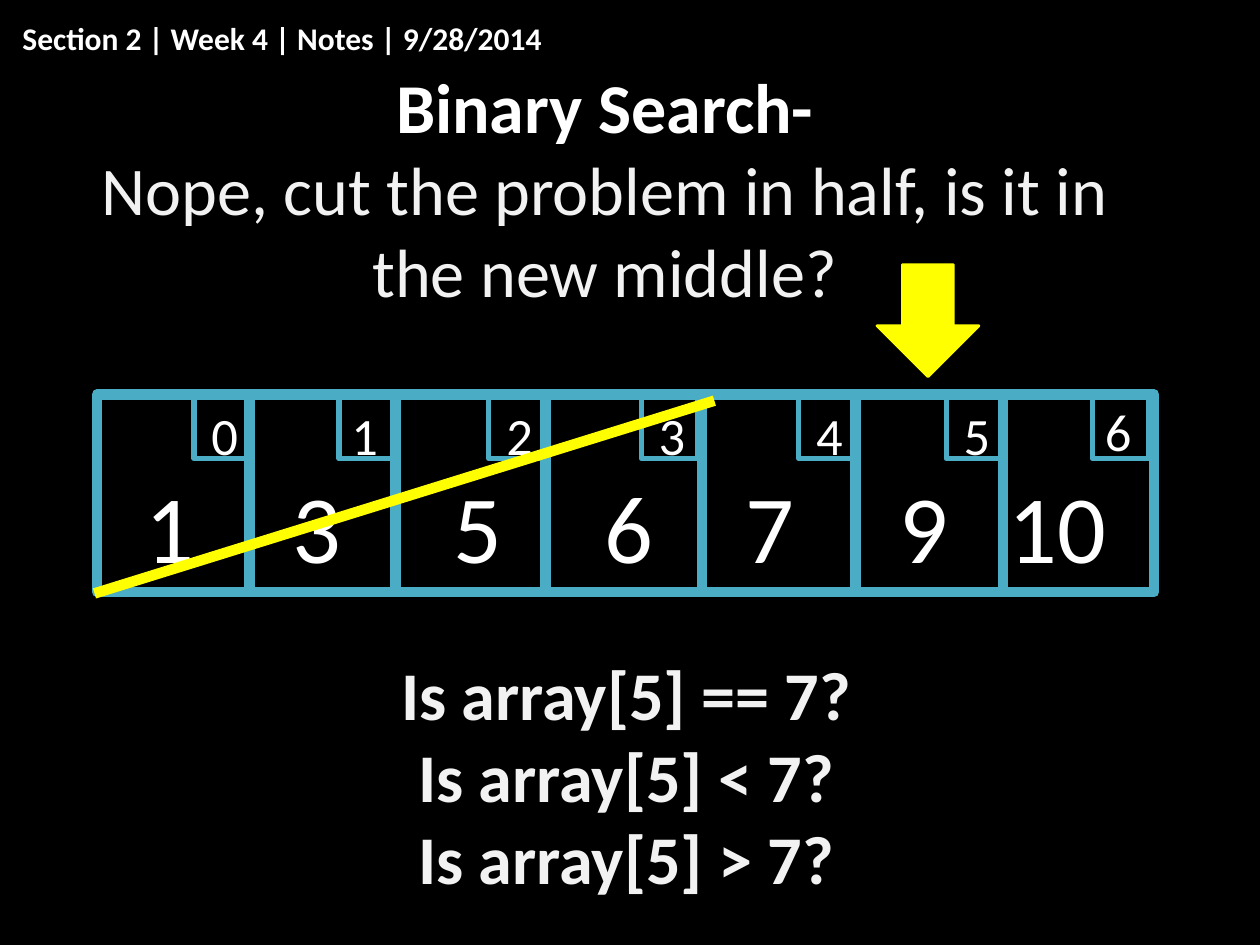
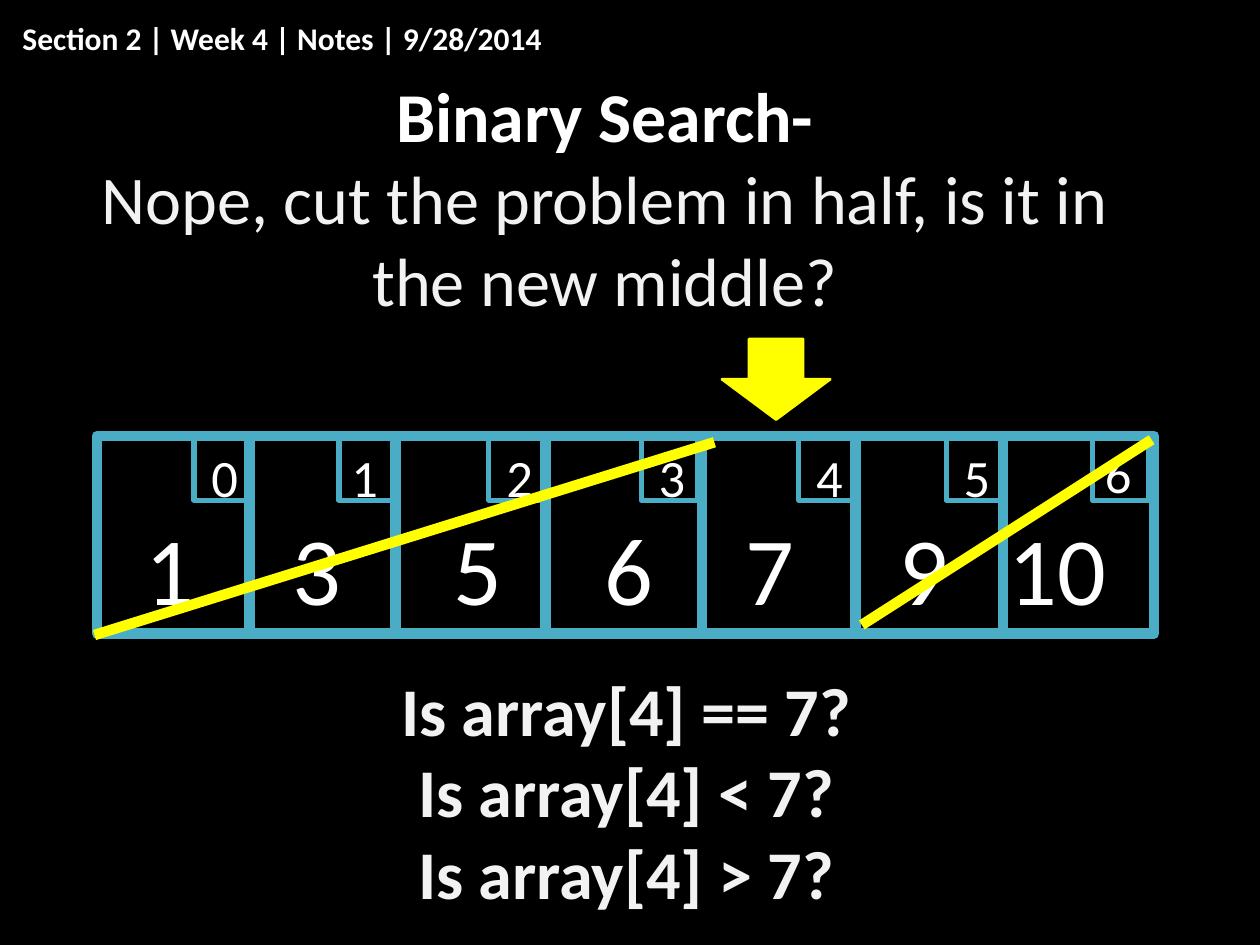
from lxml import etree
from pptx import Presentation, util as u
from pptx.dml.color import RGBColor
from pptx.enum import shapes, text
from pptx.oxml.ns import qn

COLORS = {"background": "000000", "white": "FFFFFF", "soft": "F2F2F2",
          "array": "4BACC6", "mark": "FFFF00"}
FONT = "Calibri"
COLUMNS, ROWS = 100, 75

HEADER = "Section 2 | Week 4 | Notes | 9/28/2014"
HEADING = "Binary Search-"
QUESTION = "Nope, cut the problem in half, is it in the new middle?"
TARGET = 7

# Array frame, and per cell: value, left edge, value left, badge left, index left
FRAME_LEFT, FRAME_WIDTH, FRAME_HEIGHT = 7.7, 83.9, 15.7
CELLS = [(1, 7.7, 10.6, 15.4, 15.8), (3, 19.8, 22.2, 26.9, 26.9),
         (5, 31.4, 35, 38.8, 39.2), (6, 43.3, 47, 50.9, 51.3),
         (7, 55.7, 58.2, 63.4, 63.8), (9, 67.9, 70.4, 75.1, 75.5),
         (10, 79.6, 79.1, 86.7, 86.7)]

# Strokes through discarded halves: from x, from y, to x, to y (y below the frame top)
LEFT_HALF = (56.7, 0.5, 7.5, 15.8)
RIGHT_HALF = (91.4, 0.3, 68.4, 15)

STEPS = [
    {"middle": 5, "title_top": 8.8, "frame_top": 31.3, "questions_top": 55.5,
     "arrow": (69.6, 21, 8.1, 8.9), "discarded": [LEFT_HALF]},
    {"middle": 4, "title_top": 9.5, "frame_top": 34.6, "questions_top": 56.7,
     "arrow": (57.3, 26.9, 8.6, 6.4), "discarded": [LEFT_HALF, RIGHT_HALF]},
]


def color(name):
    return RGBColor.from_string(COLORS[name])


def write(paragraph, content, size=39, tint="white", bold=False, align=None):
    """Put formatted text, without bullet or indent, into a paragraph."""
    properties = paragraph._p.get_or_add_pPr()
    properties.set("marL", "0")
    properties.set("indent", "0")
    etree.SubElement(properties, qn("a:buNone"))
    paragraph.alignment = align
    paragraph.space_before = u.Pt(0)
    run = paragraph.add_run()
    run.text = content
    run.font.name = FONT
    run.font.size = u.Pt(size)
    run.font.bold = bold
    run.font.color.rgb = color(tint)


class Deck:
    def __init__(self):
        self.presentation = Presentation()
        self.presentation.slide_width = u.Inches(10)
        self.presentation.slide_height = u.Inches(7.5)
        background = self.presentation.slide_master.background.fill
        background.solid()
        background.fore_color.rgb = color("background")
        self.slide = None

    def new_slide(self):
        layout = self.presentation.slide_layouts[1]
        self.slide = self.presentation.slides.add_slide(layout)

    def grid(self, *lengths):
        """Turn alternating columns and rows into slide lengths."""
        units = (self.presentation.slide_width / COLUMNS,
                 self.presentation.slide_height / ROWS)
        return [round(length * units[i % 2]) for i, length in enumerate(lengths)]

    def frame(self, shape, inset=(0, 0), middle=True):
        frame = shape.text_frame
        frame.word_wrap = True
        frame.auto_size = text.MSO_AUTO_SIZE.NONE
        frame.vertical_anchor = text.MSO_ANCHOR.MIDDLE if middle else text.MSO_ANCHOR.TOP
        frame.margin_left = frame.margin_right = u.Inches(inset[0])
        frame.margin_top = frame.margin_bottom = u.Inches(inset[1])
        return frame

    def placeholder(self, index, area, lines):
        """Place a template placeholder and fill it with (text, format) lines."""
        shape = self.slide.placeholders[index]
        shape.left, shape.top, shape.width, shape.height = self.grid(*area)
        frame = self.frame(shape)
        for number, (content, style) in enumerate(lines):
            paragraph = frame.add_paragraph() if number else frame.paragraphs[0]
            write(paragraph, content, align=text.PP_ALIGN.CENTER, **style)

    def label(self, content, area, inset=(0.1, 0.1), middle=True, **style):
        shape = self.slide.shapes.add_textbox(*self.grid(*area))
        write(self.frame(shape, inset, middle).paragraphs[0], content, **style)

    def box(self, kind, area, line, width, fill=None):
        shape = self.slide.shapes.add_shape(kind, *self.grid(*area))
        shape.shadow.inherit = False
        if fill:
            shape.fill.solid()
            shape.fill.fore_color.rgb = color(fill)
        else:
            shape.fill.background()
        shape.line.color.rgb = color(line)
        shape.line.width = u.Pt(width)

    def line(self, ends, tint):
        connector = self.slide.shapes.add_connector(
            shapes.MSO_CONNECTOR.STRAIGHT, *self.grid(*ends))
        connector.line.color.rgb = color(tint)
        connector.line.width = u.Pt(6)
        etree.SubElement(connector._element.spPr, qn("a:effectLst"))

    def array(self, top):
        rectangle = shapes.MSO_SHAPE.RECTANGLE
        for _, _, _, badge_left, _ in CELLS:
            self.box(rectangle, (badge_left, top - 0.1, 4.5, 5.2), "array", 3)
        self.box(rectangle, (FRAME_LEFT, top, FRAME_WIDTH, FRAME_HEIGHT), "array", 6)
        for _, edge, _, _, _ in CELLS[1:]:
            self.line((edge, top, edge, top + FRAME_HEIGHT), "array")
        for index, (value, _, value_left, _, index_left) in enumerate(CELLS):
            raised = 0.6 if index == len(CELLS) - 1 else 0.3
            self.label(str(index), (index_left, top - raised, 5, 5.7),
                       middle=False, size=30)
            self.label(str(value), (value_left, top + 2.4, 12.7, 16), size=55)


def build_step(deck, step):
    deck.new_slide()
    # Title and questions
    deck.placeholder(0, (6.8, step["title_top"], 82.4, 12.1),
                     [(HEADING, {"size": 40, "bold": True}),
                      (QUESTION, {"tint": "soft"})])
    deck.placeholder(1, (8.5, step["questions_top"], 82.4, 12.1),
                     [(f"Is array[{step['middle']}] {sign} {TARGET}?",
                       {"tint": "soft", "bold": True}) for sign in ("==", "<", ">")])
    # Array with its pointer and discarded halves
    deck.box(shapes.MSO_SHAPE.DOWN_ARROW, step["arrow"], "mark", 1.5, fill="mark")
    top = step["frame_top"]
    deck.array(top)
    for x1, y1, x2, y2 in step["discarded"]:
        deck.line((x1, top + y1, x2, top + y2), "mark")
    # Header
    deck.label(HEADER, (0.8, 0, 48.8, 6), inset=(0.1, 0.05), size=18, bold=True)


def main():
    deck = Deck()
    for step in STEPS:
        build_step(deck, step)
    deck.presentation.save("out.pptx")


if __name__ == "__main__":
    main()
